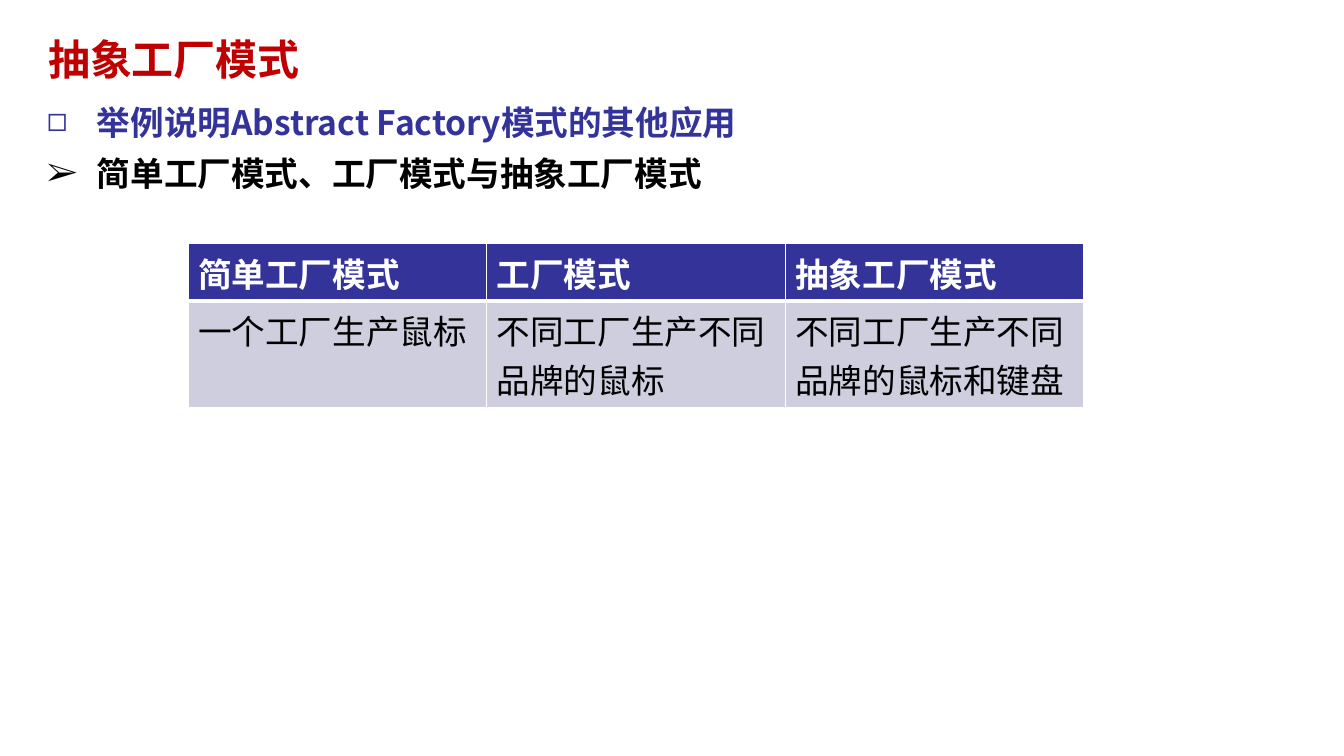
from dataclasses import dataclass

from lxml import etree
from pptx import Presentation
from pptx import util as u
from pptx.dml.color import RGBColor
from pptx.enum import text
from pptx.oxml import ns

EMU_PER_PX = 914400 / 100.8
RED = RGBColor(0xC0, 0x00, 0x00)
INDIGO = RGBColor(0x33, 0x33, 0x99)
LAVENDER = RGBColor(0xCE, 0xCE, 0xDE)
BLACK = RGBColor(0x00, 0x00, 0x00)
WHITE = RGBColor(0xFF, 0xFF, 0xFF)
SANS = "Noto Sans CJK SC"
SERIF = "Cambria"


@dataclass(frozen=True)
class Bullet:
    mark: str
    words: str
    color: RGBColor


@dataclass(frozen=True)
class RowStyle:
    height: int
    fill: RGBColor
    color: RGBColor
    bold: bool
    top: int
    bottom: int


TITLE = "抽象工厂模式"
BULLETS = [
    Bullet("◻", "举例说明Abstract Factory模式的其他应用", INDIGO),
    Bullet("➢", "简单工厂模式、工厂模式与抽象工厂模式", BLACK),
]
ROW_STYLES = [
    RowStyle(58, INDIGO, WHITE, True, 1, 3),
    RowStyle(107, LAVENDER, BLACK, False, 3, 1),
]
ROWS = [
    ["简单工厂模式", "工厂模式", "抽象工厂模式"],
    ["一个工厂生产鼠标", "不同工厂生产不同品牌的鼠标", "不同工厂生产不同品牌的鼠标和键盘"],
]


def px(length: int) -> u.Emu:
    """Turn whole pixels into EMU."""
    return u.Emu(round(length * EMU_PER_PX))


def style_runs(para, size: int, color: RGBColor, bold: bool, font: str) -> None:
    """Format every run of a paragraph, with its East Asian font."""
    for span in para.runs:
        span.font.size = u.Pt(size)
        span.font.bold = bold
        span.font.name = font
        span.font.color.rgb = color
        east_asian = etree.SubElement(span.font._element, ns.qn("a:ea"))
        east_asian.set("typeface", SANS)


def set_indent(para, margin: int, first_line: int) -> None:
    """Set the left margin and first-line indent in pixels."""
    properties = para._p.get_or_add_pPr()
    properties.set("marL", str(px(margin)))
    properties.set("indent", str(px(first_line)))


def add_box(page, left: int, top: int, width: int, height: int):
    """Add a wrapping text box and return its text frame."""
    frame = page.shapes.add_textbox(px(left), px(top), px(width), px(height)).text_frame
    frame.word_wrap = True
    return frame


def add_title(page) -> None:
    """Add the indented red title."""
    frame = add_box(page, 0, 29, 1344, 76)
    frame.margin_left, frame.margin_top = px(8), px(4)
    frame.text = TITLE
    para = frame.paragraphs[0]
    set_indent(para, 0, 40)
    style_runs(para, 30, RED, True, SANS)


def add_bullets(page) -> None:
    """Add the two bulleted lines."""
    frame = add_box(page, 37, 93, 1215, 103)
    frame.text = "\n".join(bullet.words for bullet in BULLETS)
    for index, (para, bullet) in enumerate(zip(frame.paragraphs, BULLETS)):
        set_indent(para, 50, -50)
        properties = para._p.get_or_add_pPr()
        etree.SubElement(properties, ns.qn("a:buFont"), typeface=SERIF)
        etree.SubElement(properties, ns.qn("a:buChar"), char=bullet.mark)
        para.alignment = text.PP_ALIGN.JUSTIFY
        para.line_spacing = 1.1
        if index:
            para.space_before = u.Pt(4.8)
        style_runs(para, 24, bullet.color, True, SANS)


def set_borders(cell, style: RowStyle) -> None:
    """Draw white borders around a cell."""
    properties = cell._tc.get_or_add_tcPr()
    widths = {"lnL": 1, "lnR": 1, "lnT": style.top, "lnB": style.bottom}
    for position, (side, width) in enumerate(widths.items()):
        line = etree.Element(ns.qn(f"a:{side}"), w=str(u.Pt(width)))
        fill = etree.SubElement(line, ns.qn("a:solidFill"))
        etree.SubElement(fill, ns.qn("a:srgbClr"), val=str(WHITE))
        properties.insert(position, line)


def add_comparison(page) -> None:
    """Add the table comparing the three patterns."""
    height = sum(style.height for style in ROW_STYLES)
    table = page.shapes.add_table(
        len(ROWS), len(ROWS[0]), px(188), px(243), px(896), px(height)
    ).table
    for row, style, words in zip(table.rows, ROW_STYLES, ROWS):
        row.height = px(style.height)
        for cell, label in zip(row.cells, words):
            cell.text_frame.text = label
            cell.fill.solid()
            cell.fill.fore_color.rgb = style.fill
            set_borders(cell, style)
            style_runs(cell.text_frame.paragraphs[0], 24, style.color, style.bold, SERIF)


def main() -> None:
    """Build and save the slide."""
    deck = Presentation()
    deck.slide_width, deck.slide_height = px(1344), px(756)
    page = deck.slides.add_slide(deck.slide_layouts[6])
    add_title(page)
    add_bullets(page)
    add_comparison(page)
    deck.save("out.pptx")


if __name__ == "__main__":
    main()
